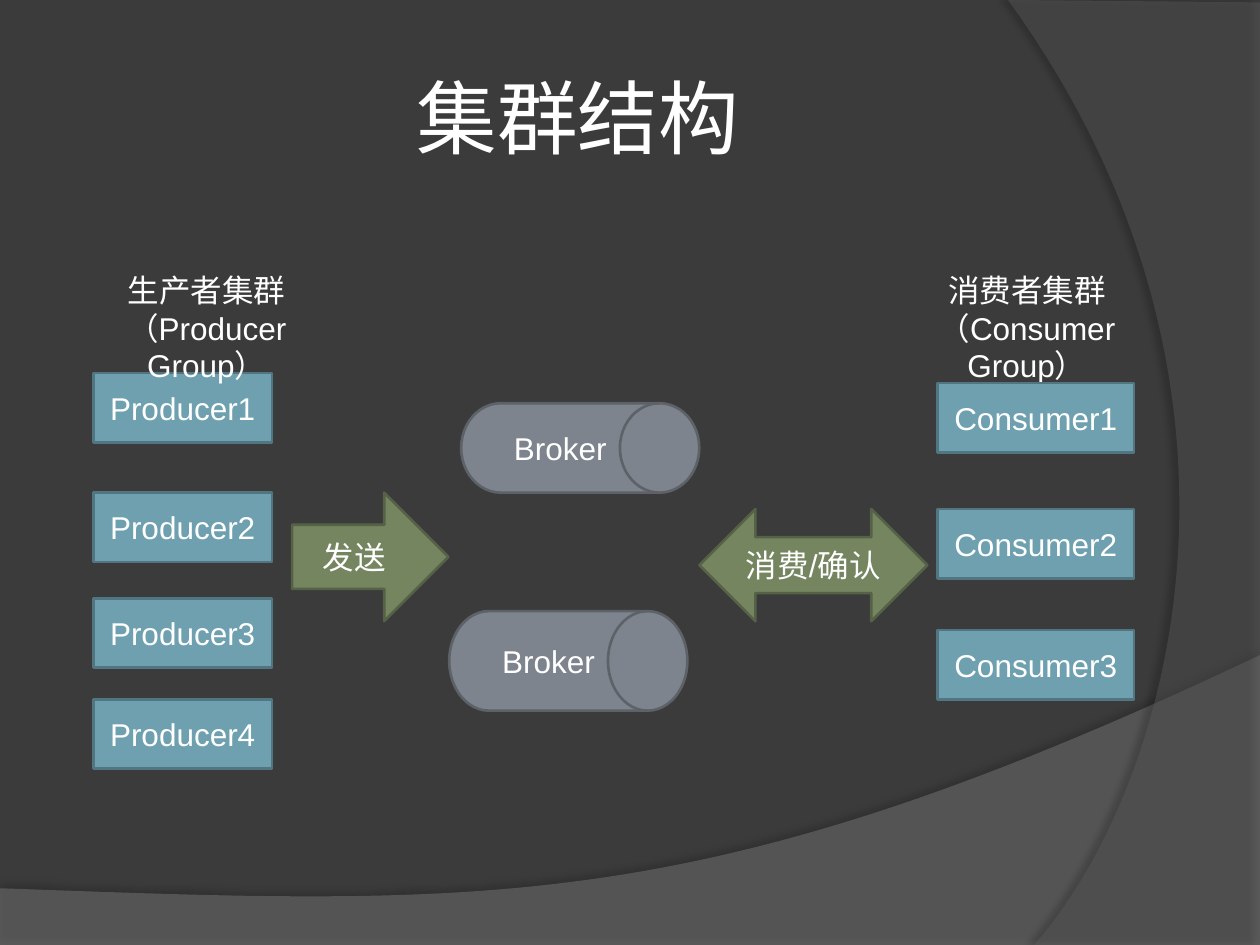
from typing import NamedTuple

from lxml.etree import SubElement
from pptx import Presentation
from pptx.dml.color import RGBColor
from pptx.enum.shapes import MSO_SHAPE
from pptx.enum.text import MSO_ANCHOR, PP_ALIGN
from pptx.oxml.ns import qn
from pptx.util import Pt

WHITE = RGBColor(0xFF, 0xFF, 0xFF)
BACKGROUND = RGBColor(0x3B, 0x3B, 0x3B)
WAVE_GRAY = RGBColor(0x7F, 0x7F, 0x7F)
ARC_GRAY = RGBColor(0x5E, 0x5E, 0x5E)

BODY_FONT = "Arial"
TITLE_FONT = "Lato"
CURVE_STEPS = 60

Point = tuple[float, float]


class Style(NamedTuple):
    fill: RGBColor
    line: RGBColor


class Frame(NamedTuple):
    left: float
    top: float
    width: float
    height: float


class Node(NamedTuple):
    text: str
    kind: MSO_SHAPE
    frame: Frame
    style: Style


class Shadow(NamedTuple):
    opacity: int
    blur: float
    distance: float
    degrees: int


BLUE = Style(RGBColor(0x6E, 0xA0, 0xB0), RGBColor(0x51, 0x76, 0x82))
GRAY = Style(RGBColor(0x7E, 0x84, 0x8D), RGBColor(0x5D, 0x62, 0x68))
GREEN = Style(RGBColor(0x74, 0x85, 0x60), RGBColor(0x56, 0x62, 0x47))

BOX = MSO_SHAPE.FLOWCHART_PROCESS
DRUM = MSO_SHAPE.FLOWCHART_DIRECT_ACCESS_STORAGE

PRODUCER_TOPS = (213.1, 281.5, 342, 399.6)
CONSUMER_TOPS = (218.9, 290.9, 360)

PRODUCERS = [
    Node(f"Producer{number}", BOX, Frame(53.3, top, 102.2, 39.6), BLUE)
    for number, top in enumerate(PRODUCER_TOPS, 1)
]
CONSUMERS = [
    Node(f"Consumer{number}", BOX, Frame(535.7, top, 112.3, 39.6), BLUE)
    for number, top in enumerate(CONSUMER_TOPS, 1)
]
BROKERS = [
    Node("Broker", DRUM, Frame(263.5, 230.4, 136.1, 51.1), GRAY),
    Node("Broker", DRUM, Frame(256.7, 349.2, 136.1, 56.9), GRAY),
]
ARROWS = [
    Node("发送", MSO_SHAPE.RIGHT_ARROW, Frame(167, 281.5, 89.3, 73.4), GREEN),
    Node("消费/确认", MSO_SHAPE.LEFT_RIGHT_ARROW, Frame(399.6, 290.9, 130.3, 64.1), GREEN),
]
LABELS = [
    ("生产者集群（Producer Group）", Frame(36, 151.2, 164.2, 51.1)),
    ("消费者集群（Consumer Group）", Frame(496.1, 151.2, 181.4, 51.1)),
]


def bezier(start: Point, first: Point, second: Point, end: Point) -> list[Point]:
    """Sample a cubic curve, both ends included."""
    points = []
    for step in range(CURVE_STEPS + 1):
        t = step / CURVE_STEPS
        weights = ((1 - t) ** 3, 3 * t * (1 - t) ** 2, 3 * t * t * (1 - t), t**3)
        controls = (start, first, second, end)
        points.append(tuple(
            sum(weight * control[axis] for weight, control in zip(weights, controls))
            for axis in (0, 1)
        ))
    return points


def add_backdrop(slide, points: list[Point], color: RGBColor, opacity: int, shadow: Shadow) -> None:
    """Draw a translucent, shadowed outline behind the content."""
    outline = [(Pt(x), Pt(y)) for x, y in points]
    builder = slide.shapes.build_freeform(*outline[0], scale=1.0)
    builder.add_line_segments(outline[1:], close=True)
    shape = builder.convert_to_shape()
    shape.fill.solid()
    shape.fill.fore_color.rgb = color
    shape.line.fill.background()
    shape.shadow.inherit = False
    properties = shape.element.spPr
    fill_color = properties.find(qn("a:solidFill")).find(qn("a:srgbClr"))
    SubElement(fill_color, qn("a:alpha"), val=str(opacity * 1000))
    outer = SubElement(
        properties.find(qn("a:effectLst")), qn("a:outerShdw"),
        blurRad=str(Pt(shadow.blur)), dist=str(Pt(shadow.distance)),
        dir=str(shadow.degrees * 60000), rotWithShape="0",
    )
    shadow_color = SubElement(outer, qn("a:srgbClr"), val="000000")
    SubElement(shadow_color, qn("a:alpha"), val=str(shadow.opacity * 1000))


def write_text(shape, text: str, anchor: MSO_ANCHOR, size: float = 18, font: str = BODY_FONT) -> None:
    frame = shape.text_frame
    frame.word_wrap = True
    frame.vertical_anchor = anchor
    para = frame.paragraphs[0]
    para.text = text
    para.alignment = PP_ALIGN.CENTER
    para.font.size = Pt(size)
    para.font.name = font
    para.font.color.rgb = WHITE


def add_node(slide, node: Node) -> None:
    shape = slide.shapes.add_shape(node.kind, *map(Pt, node.frame))
    shape.shadow.inherit = False
    shape.fill.solid()
    shape.fill.fore_color.rgb = node.style.fill
    shape.line.color.rgb = node.style.line
    shape.line.width = Pt(1.5)
    write_text(shape, node.text, MSO_ANCHOR.MIDDLE)


def add_title(slide, text: str) -> None:
    box = slide.shapes.add_textbox(*map(Pt, Frame(36, 21.6, 588.2, 90)))
    frame = box.text_frame
    frame.margin_left = frame.margin_right = Pt(3.6)
    write_text(box, text, MSO_ANCHOR.MIDDLE, 46, TITLE_FONT)


def main() -> None:
    deck = Presentation()
    deck.slide_width, deck.slide_height = Pt(720), Pt(540)
    slide = deck.slides.add_slide(deck.slide_layouts[6])
    slide.background.fill.solid()
    slide.background.fill.fore_color.rgb = BACKGROUND

    wave = bezier((720, 374.4), (402.5, 524.9), (281.5, 517.7), (0, 507.6))
    add_backdrop(slide, [(0, 540), (720, 540), *wave], WAVE_GRAY, 45, Shadow(35, 4, 3.5, 270))
    arc = bezier((591, 540), (673.2, 445.7), (733, 216), (576, 0))
    add_backdrop(slide, [(720, 1.4), (720, 540), *arc], ARC_GRAY, 40, Shadow(45, 4, 4, 180))

    add_title(slide, "集群结构")
    for node in BROKERS + PRODUCERS + ARROWS:
        add_node(slide, node)
    for text, frame in LABELS:
        label = slide.shapes.add_textbox(*map(Pt, frame))
        write_text(label, text, MSO_ANCHOR.TOP)
    for node in CONSUMERS:
        add_node(slide, node)
    deck.save("out.pptx")


if __name__ == "__main__":
    main()
